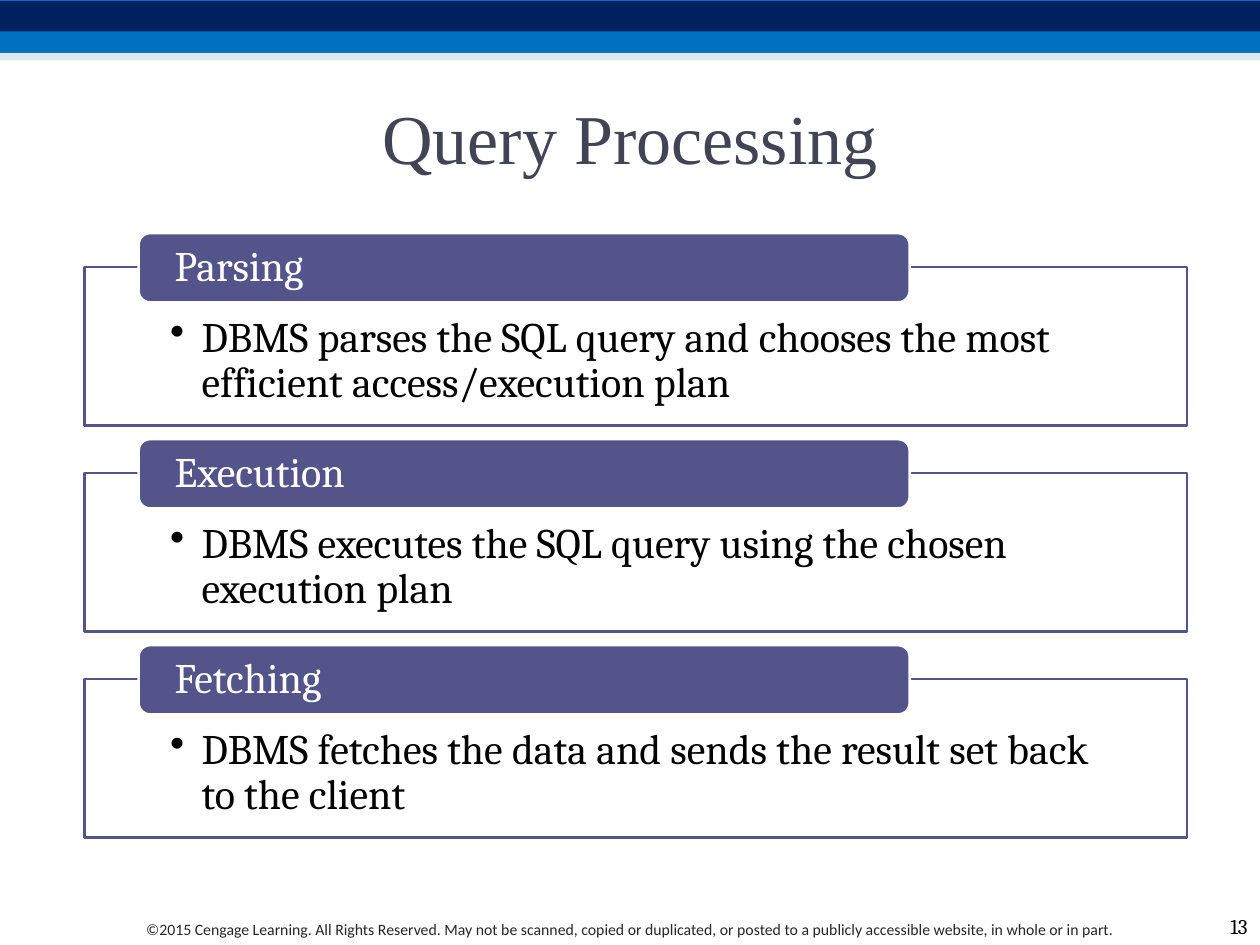
import dataclasses

import pptx
import pptx.dml.color
import pptx.enum.shapes
import pptx.enum.text
import pptx.oxml.ns
import pptx.util
from lxml import etree

Inches = pptx.util.Inches
Pt = pptx.util.Pt
Align = pptx.enum.text.PP_ALIGN
Anchor = pptx.enum.text.MSO_ANCHOR
Shape = pptx.enum.shapes.MSO_SHAPE


@dataclasses.dataclass(frozen=True)
class Theme:
    navy: str = "002060"
    blue: str = "0070C0"
    pale: str = "BED3E1"
    accent: str = "53548A"
    heading: str = "424456"
    white: str = "FFFFFF"
    black: str = "000000"
    gray: str = "262626"
    title_font: str = "Times New Roman"
    body_font: str = "Cambria"
    footer_font: str = "Calibri"
    title_size: int = 40
    body_size: int = 24
    number_size: int = 12
    footer_size: int = 9
    outline: float = 1.5


THEME = Theme()
STEPS = [
    ("Parsing", "DBMS parses the SQL query and chooses the most efficient access/execution plan"),
    ("Execution", "DBMS executes the SQL query using the chosen execution plan"),
    ("Fetching", "DBMS fetches the data and sends the result set back to the client"),
]
COPYRIGHT = (
    "©2015 Cengage Learning. All Rights Reserved. May not be scanned, copied or duplicated, "
    "or posted to a publicly accessible website, in whole or in part."
)
FIRST_STEP_TOP = 1.85
STEP_PITCH = 1.635
PANEL_OFFSET = 0.27


def rgb(value):
    return pptx.dml.color.RGBColor.from_string(value)


def set_opacity(shape, percent):
    color = shape.fill._xPr.find(".//" + pptx.oxml.ns.qn("a:srgbClr"))
    etree.SubElement(color, pptx.oxml.ns.qn("a:alpha"), val=str(percent * 1000))


def add_block(page, kind, area, fill, line=None, opacity=100):
    block = page.shapes.add_shape(kind, *map(Inches, area))
    block.shadow.inherit = False
    block.fill.solid()
    block.fill.fore_color.rgb = rgb(fill)
    if opacity < 100:
        set_opacity(block, opacity)
    if line:
        block.line.color.rgb = rgb(line)
        block.line.width = Pt(THEME.outline)
    else:
        block.line.fill.background()
    return block


def set_text(box, text, font, size, color, align=Align.LEFT, anchor=Anchor.TOP, insets=None):
    frame = box.text_frame
    frame.text = text
    frame.word_wrap = True
    frame.vertical_anchor = anchor
    if insets:
        frame.margin_left, frame.margin_top, frame.margin_right, frame.margin_bottom = map(Inches, insets)
    para = frame.paragraphs[0]
    para.alignment = align
    span = para.runs[0]
    span.font.name = font
    span.font.size = Pt(size)
    span.font.color.rgb = rgb(color)
    return para


def add_bullet(para):
    para.level = 1
    properties = para._p.get_or_add_pPr()
    properties.set("marL", str(Inches(0.25)))
    properties.set("indent", str(-Inches(0.25)))
    etree.SubElement(properties, pptx.oxml.ns.qn("a:buChar"), char="•")


def add_banner(page):
    add_block(page, Shape.RECTANGLE, (0, 0, 10, 0.42), THEME.blue)
    add_block(page, Shape.RECTANGLE, (0, 0.01, 10, 0.24), THEME.navy)
    add_block(page, Shape.RECTANGLE, (0, 0.42, 10, 0.06), THEME.pale, opacity=50)


def add_title(page, text):
    title = page.shapes.title
    title.left, title.top, title.width, title.height = map(Inches, (0.5, 0.5, 9, 1.17))
    set_text(title, text, THEME.title_font, THEME.title_size, THEME.heading, Align.CENTER, Anchor.MIDDLE)


def add_step(page, top, name, description):
    panel = add_block(page, Shape.RECTANGLE, (0.67, top + PANEL_OFFSET, 8.75, 1.26),
                      THEME.white, THEME.accent, opacity=90)
    para = set_text(panel, description, THEME.body_font, THEME.body_size, THEME.black,
                    insets=(0.68, 0.39, 0.68, 0.19))
    add_bullet(para)
    para.line_spacing = 0.9

    label = add_block(page, Shape.ROUNDED_RECTANGLE, (1.1, top, 6.12, 0.55), THEME.accent, THEME.white)
    para = set_text(label, name, THEME.body_font, THEME.body_size, THEME.white,
                    anchor=Anchor.MIDDLE, insets=(0.26, 0, 0.26, 0))
    para.line_spacing = 0.9


def add_footer(page):
    notice = page.shapes.add_textbox(*map(Inches, (0.58, 7.25, 8.83, 0.25)))
    set_text(notice, COPYRIGHT, THEME.footer_font, THEME.footer_size, THEME.gray, Align.CENTER)
    notice.text_frame.auto_size = pptx.enum.text.MSO_AUTO_SIZE.SHAPE_TO_FIT_TEXT
    number = page.shapes.add_textbox(*map(Inches, (9.5, 7.17, 0.5, 0.33)))
    set_text(number, "13", THEME.body_font, THEME.number_size, THEME.black, Align.RIGHT, Anchor.BOTTOM)


def main():
    deck = pptx.Presentation()
    deck.slide_width = Inches(10)
    deck.slide_height = Inches(7.5)
    page = deck.slides.add_slide(deck.slide_layouts.get_by_name("Title Only"))
    add_banner(page)
    add_title(page, "Query Processing")
    for index, (name, description) in enumerate(STEPS):
        add_step(page, FIRST_STEP_TOP + index * STEP_PITCH, name, description)
    add_footer(page)
    deck.save("out.pptx")


if __name__ == "__main__":
    main()
